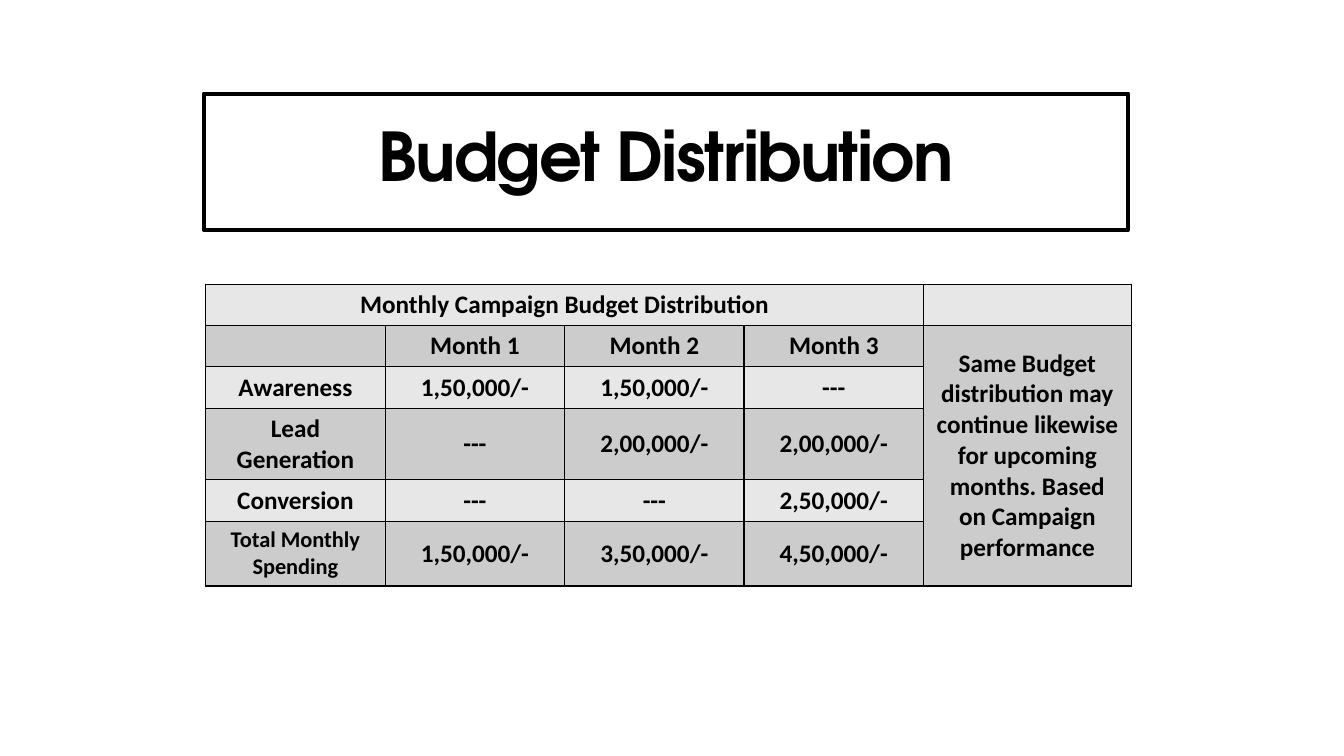
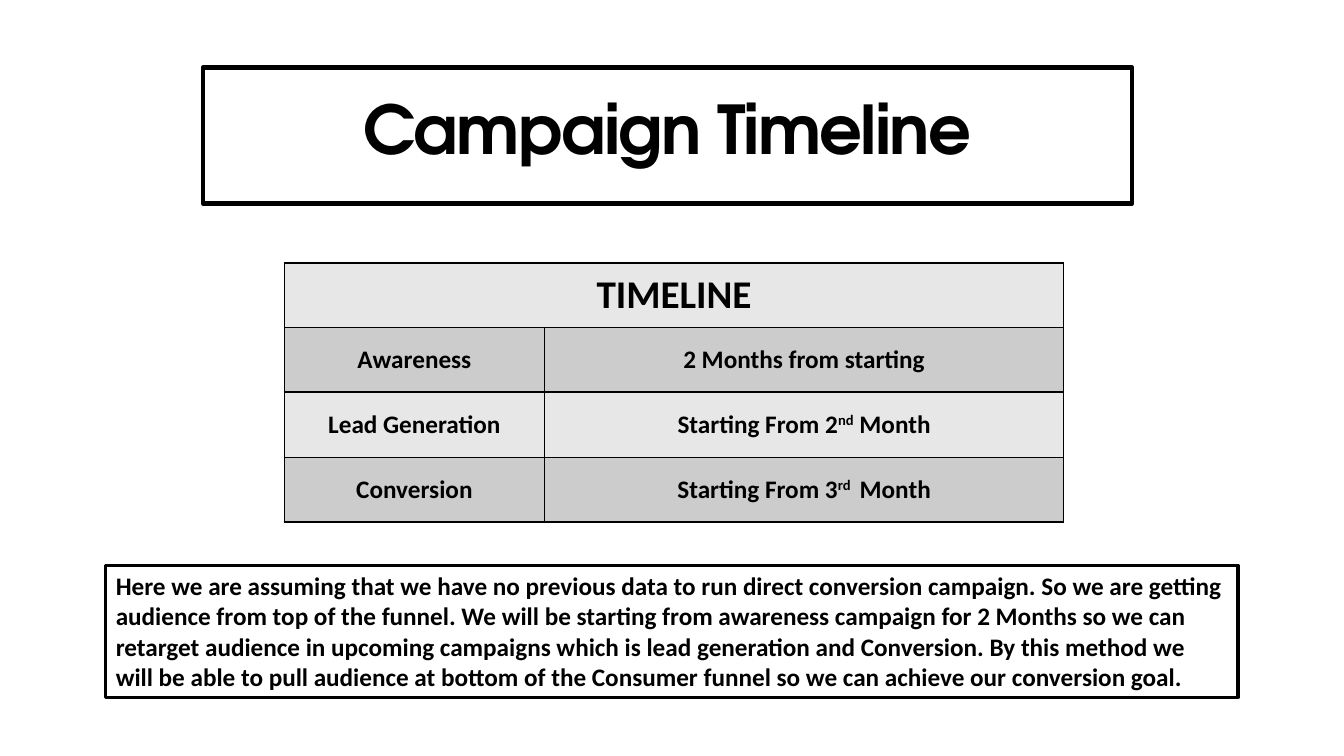
from lxml import etree
from pptx import Presentation, util as u
from pptx.dml.color import RGBColor
from pptx.enum import shapes, text
from pptx.oxml.ns import qn

PX = 9144  # 100 px to the inch
HUES = {"ink": "000000", "light": "E7E7E7", "dark": "CCCCCC"}
HEAD, BODY = "TeX Gyre Adventor", "Calibri"

# A tuple holds runs; every second one is superscript.
PAGES = [
    {
        "title": ("Budget Distribution", (202, 93, 917, 135)),
        "table": {
            "at": (204, 282),
            "cols": [178, 178, 178, 178, 206],
            "rows": [41, 41, 41, 70, 41, 64],
            "cells": [
                ["Monthly Campaign Budget Distribution", "", "", "", ""],
                ["", "Month 1", "Month 2", "Month 3",
                 "Same Budget distribution may continue likewise for "
                 "upcoming months. Based on Campaign performance"],
                ["Awareness", "1,50,000/-", "1,50,000/-", "---", ""],
                ["Lead Generation", "---", "2,00,000/-", "2,00,000/-", ""],
                ["Conversion", "---", "---", "2,50,000/-", ""],
                ["Total Monthly Spending", "1,50,000/-", "3,50,000/-",
                 "4,50,000/-", ""],
            ],
            "spans": [((0, 0), (0, 3)), ((1, 4), (5, 4))],
            "sizes": {(5, 0): 16},
        },
    },
    {
        "title": ("Campaign Timeline", (201, 67, 922, 135)),
        "table": {
            "at": (282, 261),
            "cols": [258, 515],
            "rows": [64, 64, 65, 64],
            "cells": [
                ["TIMELINE", ""],
                ["Awareness", "2 Months from starting"],
                ["Lead Generation", ("Starting From 2", "nd", " Month")],
                ["Conversion", ("Starting From 3", "rd ", " Month")],
            ],
            "spans": [((0, 0), (0, 1))],
            "sizes": {(0, 0): 28},
        },
        "note": (
            "Here we are assuming that we have no previous data to run direct "
            "conversion campaign. So we are getting audience from top of the "
            "funnel. We will be starting from awareness campaign for 2 Months "
            "so we can retarget audience in upcoming campaigns which is lead "
            "generation and Conversion. By this method we will be able to "
            "pull audience at bottom of the Consumer funnel so we can achieve "
            "our conversion goal.", (105, 561, 1123, 131)),
    },
]


def hue(name):
    return RGBColor.from_string(HUES[name])


def write(frame, words, size=18, face=BODY, align=text.PP_ALIGN.CENTER):
    """Fill the frame with one bold paragraph and return it."""
    para = frame.paragraphs[0]
    para.alignment = align
    para.font.size = u.Pt(size)
    for i, part in enumerate(words if isinstance(words, tuple) else (words,)):
        run = para.add_run()
        run.text = part
        font = run.font
        font.name, font.size, font.bold = face, u.Pt(size), True
        font.color.rgb = hue("ink")
        if i % 2:
            run._r.get_or_add_rPr().set("baseline", "30000")
    return para


def add_box(slide, at, width):
    box = slide.shapes.add_shape(shapes.MSO_SHAPE.RECTANGLE,
                                 *(n * PX for n in at))
    box.shadow.inherit = False
    box.fill.background()
    box.line.color.rgb = hue("ink")
    box.line.width = u.Pt(width)
    box.text_frame.word_wrap = True
    return box.text_frame


def add_title(slide, words, at):
    frame = add_box(slide, at, 3)
    frame.vertical_anchor = text.MSO_ANCHOR.MIDDLE
    para = write(frame, words, 48, HEAD)
    para.line_spacing = 0.8
    para.runs[0]._r.get_or_add_rPr().set("spc", "-120")


def add_note(slide, words, at):
    frame = add_box(slide, at, 2.25)
    frame.vertical_anchor = text.MSO_ANCHOR.TOP
    write(frame, words, align=text.PP_ALIGN.LEFT)


def add_edges(cell):
    props = cell._tc.get_or_add_tcPr()
    for side in ("lnL", "lnR", "lnT", "lnB"):
        line = etree.SubElement(props, qn("a:" + side), w=str(u.Pt(1)))
        fill = etree.SubElement(line, qn("a:solidFill"))
        etree.SubElement(fill, qn("a:srgbClr"), val=HUES["ink"])


def add_grid(slide, at, cols, rows, cells, spans, sizes):
    dims = (*at, sum(cols), sum(rows))
    grid = slide.shapes.add_table(len(rows), len(cols),
                                  *(n * PX for n in dims)).table
    for col, wide in zip(grid.columns, cols):
        col.width = wide * PX
    for r, (row, tall) in enumerate(zip(grid.rows, rows)):
        row.height = tall * PX
        for c, words in enumerate(cells[r]):
            cell = grid.cell(r, c)
            add_edges(cell)
            cell.fill.solid()
            # A cell spanning rows keeps the shade of its first row.
            top = next((a[0] for a, b in spans
                        if a[0] <= r <= b[0] and a[1] <= c <= b[1]), r)
            cell.fill.fore_color.rgb = hue("dark" if top % 2 else "light")
            cell.vertical_anchor = text.MSO_ANCHOR.MIDDLE
            if words:
                write(cell.text_frame, words, sizes.get((r, c), 18))
    for first, last in spans:
        grid.cell(*first).merge(grid.cell(*last))


def main():
    deck = Presentation()
    deck.slide_width, deck.slide_height = 1333 * PX, 750 * PX
    for page in PAGES:
        slide = deck.slides.add_slide(deck.slide_layouts[6])
        add_title(slide, *page["title"])
        add_grid(slide, **page["table"])
        if "note" in page:
            add_note(slide, *page["note"])
    deck.save("out.pptx")


if __name__ == "__main__":
    main()
